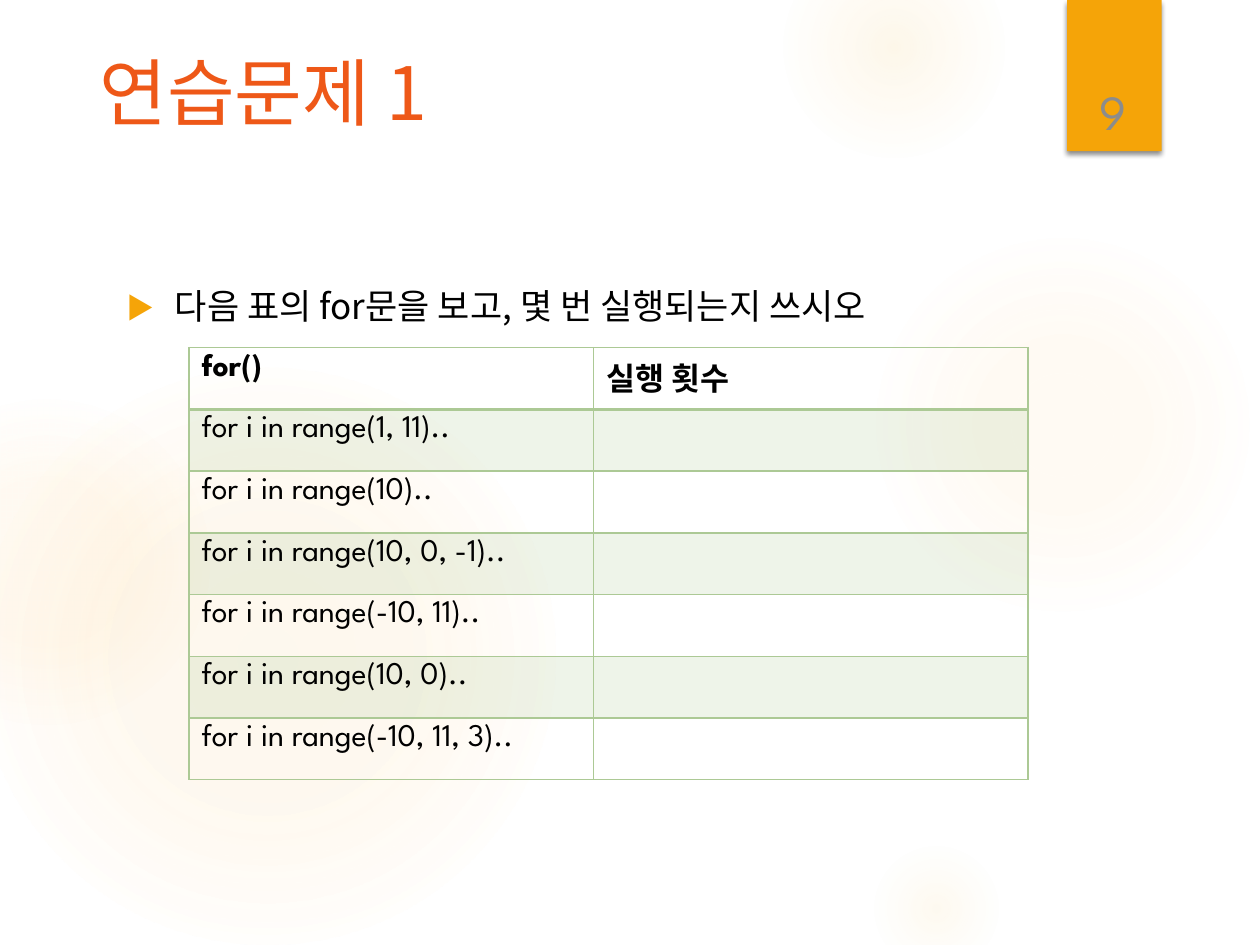
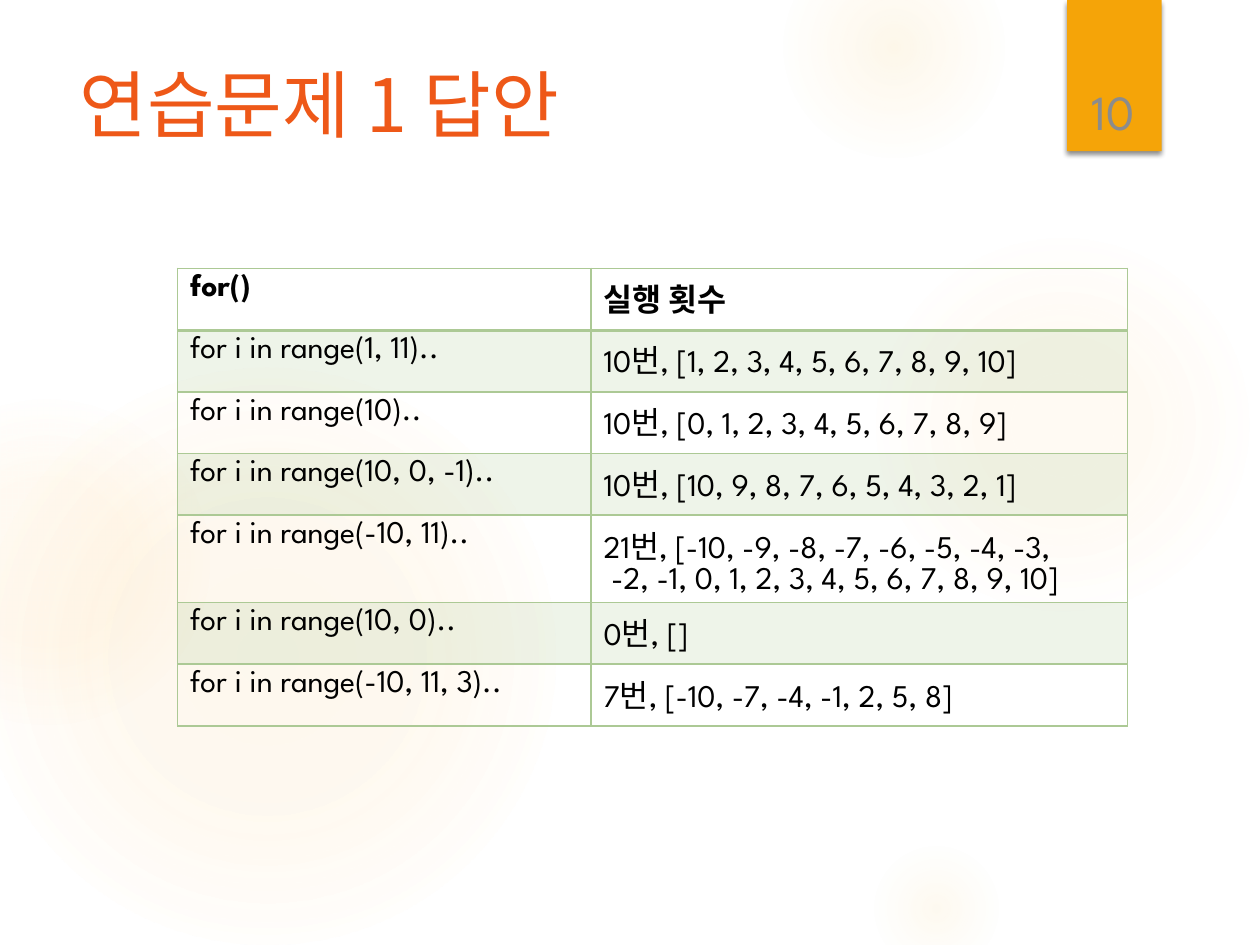
from dataclasses import dataclass

from pptx import Presentation
from pptx.dml.color import RGBColor
from pptx.enum.shapes import MSO_SHAPE
from pptx.enum.text import MSO_ANCHOR, MSO_AUTO_SIZE, PP_ALIGN
from pptx.oxml import parse_xml
from pptx.oxml.ns import nsdecls, qn
from pptx.shapes.autoshape import Shape
from pptx.slide import Slide
from pptx.table import _Cell
from pptx.text.text import TextFrame
from pptx.util import Inches, Pt

OVAL, RECTANGLE = MSO_SHAPE.OVAL, MSO_SHAPE.RECTANGLE
TOP, BOTTOM = MSO_ANCHOR.TOP, MSO_ANCHOR.BOTTOM
LEFT, CENTER = PP_ALIGN.LEFT, PP_ALIGN.CENTER
NO_AUTOFIT = MSO_AUTO_SIZE.NONE
TITLE_ONLY = 5


@dataclass(frozen=True)
class Theme:
    background: str = "FFFFFF"
    glow: str = "FAC96A"
    ribbon: str = "F5A408"
    title: str = "EE5818"
    text: str = "000000"
    page_number: str = "8C8C8C"
    table_green: str = "ACC995"
    latin_font: str = "League Spartan"
    korean_font: str = "Noto Sans CJK KR"
    title_size: int = 42
    page_number_size: int = 28
    question_size: int = 20
    table_size: int = 18
    line_spacing: float = 0.9
    band_opacity: int = 20


THEME = Theme()


@dataclass(frozen=True)
class Box:
    left: float
    top: float
    width: float
    height: float

    def lengths(self) -> tuple[int, int, int, int]:
        return (Inches(self.left), Inches(self.top),
                Inches(self.width), Inches(self.height))


@dataclass(frozen=True)
class Glow:
    """A round light; stops are pairs of position and opacity in percent."""
    left: float
    top: float
    diameter: float
    stops: tuple[tuple[int, int], ...]


@dataclass(frozen=True)
class ExerciseSlide:
    number: int
    title: str
    title_box: Box
    table_left: float
    table_top: float
    column_widths: tuple[float, float]
    answers: tuple[str, ...]
    question: str = ""


GLOWS = (
    Glow(6.89, 1.83, 3.08, ((0, 7), (36, 6), (69, 0))),
    Glow(6.22, -0.5, 1.75, ((0, 14), (36, 7), (73, 0))),
    Glow(6.89, 6.67, 1.08, ((0, 10), (31, 5), (66, 0))),
    Glow(-0.17, 2.92, 4.58, ((0, 11), (36, 10), (75, 0))),
    Glow(-0.92, 3.17, 2.58, ((0, 8), (36, 8), (72, 0))),
)
RIBBON_BOX = Box(8.47, 0, 0.75, 1.2)
PAGE_NUMBER_BOX = Box(8.49, 0.32, 0.69, 0.84)
QUESTION_BOX = Box(0.91, 2.25, 7.34, 4.59)
ROW_HEIGHT = 0.49

HEADERS = ("for()", "실행 횟수")
RANGES = ("1, 11", "10", "10, 0, -1", "-10, 11", "10, 0", "-10, 11, 3")

SLIDES = (
    ExerciseSlide(
        9, "연습문제 1", Box(0.69, 0.4, 9.08, 1.45), 1.5, 2.76, (3.21, 3.45),
        ("",) * len(RANGES),
        "다음 표의 for문을 보고, 몇 번 실행되는지 쓰시오",
    ),
    ExerciseSlide(
        10, "연습문제 1 답안", Box(0.53, 0.5, 7.72, 1.53), 1.41, 2.13, (3.28, 4.26),
        (
            "10번, [1, 2, 3, 4, 5, 6, 7, 8, 9, 10]",
            "10번, [0, 1, 2, 3, 4, 5, 6, 7, 8, 9]",
            "10번, [10, 9, 8, 7, 6, 5, 4, 3, 2, 1]",
            "21번, [-10, -9, -8, -7, -6, -5, -4, -3,\v"
            " -2, -1, 0, 1, 2, 3, 4, 5, 6, 7, 8, 9, 10]",
            "0번, []",
            "7번, [-10, -7, -4, -1, 2, 5, 8]",
        ),
    ),
)


def format_runs(text_frame: TextFrame, size: int, color: str, font: str,
                bold: bool = False) -> None:
    """Format every run, with the Korean font for East Asian characters."""
    for paragraph in text_frame.paragraphs:
        for run in paragraph.runs:
            run.font.size = Pt(size)
            run.font.bold = bold
            run.font.color.rgb = RGBColor.from_string(color)
            run.font.name = font
            run.font._element.append(parse_xml(
                f'<a:ea {nsdecls("a")} typeface="{THEME.korean_font}"/>'))


def add_plain_shape(slide: Slide, kind: MSO_SHAPE, box: Box) -> Shape:
    shape = slide.shapes.add_shape(kind, *box.lengths())
    shape.shadow.inherit = False
    shape.line.fill.background()
    return shape


def add_glow(slide: Slide, glow: Glow) -> None:
    shape = add_plain_shape(
        slide, OVAL, Box(glow.left, glow.top, glow.diameter, glow.diameter))
    shape.fill.background()
    stops = "".join(
        f'<a:gs pos="{position * 1000}"><a:srgbClr val="{THEME.glow}">'
        f'<a:alpha val="{opacity * 1000}"/></a:srgbClr></a:gs>'
        for position, opacity in glow.stops)
    gradient = parse_xml(
        f'<a:gradFill {nsdecls("a")} rotWithShape="1"><a:gsLst>{stops}</a:gsLst>'
        '<a:path path="circle"><a:fillToRect l="50000" t="50000" r="50000" b="50000"/>'
        '</a:path></a:gradFill>')
    properties = shape.element.spPr
    properties.replace(properties.find(qn("a:noFill")), gradient)


def add_ribbon(slide: Slide) -> None:
    ribbon = add_plain_shape(slide, RECTANGLE, RIBBON_BOX)
    ribbon.fill.solid()
    ribbon.fill.fore_color.rgb = RGBColor.from_string(THEME.ribbon)
    ribbon.element.spPr.find(qn("a:effectLst")).append(parse_xml(
        f'<a:outerShdw {nsdecls("a")} blurRad="{Pt(3)}" dist="{Pt(2)}" dir="5400000" '
        'algn="ctr" rotWithShape="0"><a:srgbClr val="000000"><a:alpha val="45000"/>'
        '</a:srgbClr></a:outerShdw>'))


def place_title(slide: Slide, text: str, box: Box) -> None:
    """Set the title and bring it in front of the background shapes."""
    title = slide.shapes.title
    title.left, title.top, title.width, title.height = box.lengths()
    text_frame = title.text_frame
    text_frame.text = text
    text_frame.auto_size = NO_AUTOFIT
    text_frame.vertical_anchor = TOP
    text_frame.paragraphs[0].alignment = LEFT
    text_frame.paragraphs[0].line_spacing = THEME.line_spacing
    format_runs(text_frame, THEME.title_size, THEME.title, THEME.korean_font)
    title.element.getparent().append(title.element)


def add_text(slide: Slide, text: str, box: Box) -> TextFrame:
    text_frame = slide.shapes.add_textbox(*box.lengths()).text_frame
    text_frame.word_wrap = True
    text_frame.text = text
    return text_frame


def add_question(slide: Slide, text: str) -> None:
    text_frame = add_text(slide, text, QUESTION_BOX)
    paragraph = text_frame.paragraphs[0]
    properties = paragraph._p.get_or_add_pPr()
    properties.set("marL", str(Inches(0.38)))
    properties.set("indent", str(Inches(-0.38)))
    for bullet in (
        f'<a:buClr {nsdecls("a")}><a:srgbClr val="{THEME.ribbon}"/></a:buClr>',
        f'<a:buSzPct {nsdecls("a")} val="80000"/>',
        f'<a:buFont {nsdecls("a")} typeface="{THEME.korean_font}"/>',
        f'<a:buChar {nsdecls("a")} char="▶"/>',
    ):
        properties.append(parse_xml(bullet))
    paragraph.line_spacing = THEME.line_spacing
    format_runs(text_frame, THEME.question_size, THEME.text, THEME.korean_font)


def add_page_number(slide: Slide, number: int) -> None:
    text_frame = add_text(slide, str(number), PAGE_NUMBER_BOX)
    text_frame.vertical_anchor = BOTTOM
    text_frame.paragraphs[0].alignment = CENTER
    format_runs(text_frame, THEME.page_number_size, THEME.page_number, THEME.latin_font)


def format_cell(cell: _Cell, row: int) -> None:
    """Draw borders, heavier below the header, and tint every odd row."""
    properties = cell._tc.get_or_add_tcPr()
    widths = {"L": 1, "R": 1, "T": 2 if row == 1 else 1, "B": 2 if row == 0 else 1}
    for side, width in widths.items():
        properties.append(parse_xml(
            f'<a:ln{side} {nsdecls("a")} w="{Pt(width)}"><a:solidFill>'
            f'<a:srgbClr val="{THEME.table_green}"/></a:solidFill></a:ln{side}>'))
    if row % 2:
        cell.fill.solid()
        cell.fill.fore_color.rgb = RGBColor.from_string(THEME.table_green)
        properties.find(qn("a:solidFill"))[0].append(parse_xml(
            f'<a:alpha {nsdecls("a")} val="{THEME.band_opacity * 1000}"/>'))
    else:
        cell.fill.background()
    format_runs(cell.text_frame, THEME.table_size, THEME.text, THEME.latin_font,
                bold=row == 0)


def add_loop_table(slide: Slide, content: ExerciseSlide) -> None:
    loops = (f"for i in range({arguments}).." for arguments in RANGES)
    rows = [HEADERS, *zip(loops, content.answers)]
    box = Box(content.table_left, content.table_top,
              sum(content.column_widths), ROW_HEIGHT * len(rows))
    table = slide.shapes.add_table(len(rows), len(HEADERS), *box.lengths()).table
    table.horz_banding = False
    for column, width in zip(table.columns, content.column_widths):
        column.width = Inches(width)
    for row_index, texts in enumerate(rows):
        table.rows[row_index].height = Inches(ROW_HEIGHT)
        for column_index, text in enumerate(texts):
            cell = table.cell(row_index, column_index)
            cell.text_frame.text = text
            format_cell(cell, row_index)


def build_slide(presentation: Presentation, content: ExerciseSlide) -> None:
    slide = presentation.slides.add_slide(presentation.slide_layouts[TITLE_ONLY])
    slide.background.fill.solid()
    slide.background.fill.fore_color.rgb = RGBColor.from_string(THEME.background)
    for glow in GLOWS:
        add_glow(slide, glow)
    add_ribbon(slide)
    place_title(slide, content.title, content.title_box)
    if content.question:
        add_question(slide, content.question)
    add_loop_table(slide, content)
    add_page_number(slide, content.number)


def main() -> None:
    presentation = Presentation()
    presentation.slide_width = Inches(10)
    presentation.slide_height = Inches(7.5)
    for content in SLIDES:
        build_slide(presentation, content)
    presentation.save("out.pptx")


if __name__ == "__main__":
    main()
